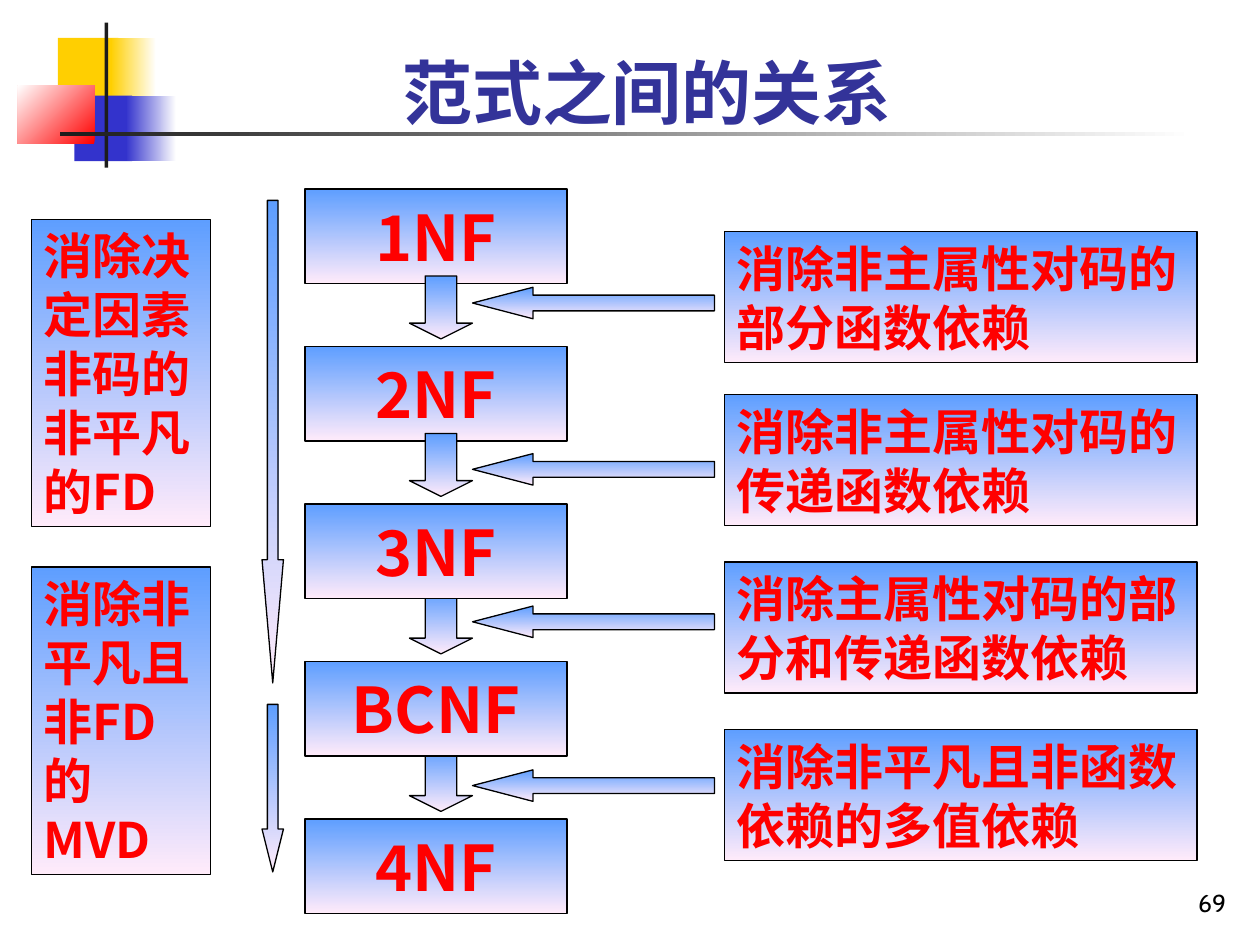
from lxml import etree
from pptx import Presentation
from pptx.dml.color import RGBColor
from pptx.enum import shapes, text
from pptx.oxml.ns import qn
from pptx.util import Inches, Pt

COLORS = {
    "gold": "FFCF01", "blue": "3333CC", "red": "FF0000", "ink": "1C1C1C",
    "white": "FFFFFF", "black": "000000", "title": "333399",
    "sky": "5E9EFF", "blush": "FFEBFA",
}
SHAPE = shapes.MSO_SHAPE
ALIGN = text.PP_ALIGN
LABEL_FONT = "Noto Sans CJK SC"
BASE_FONT = "Cabin"


def rgb(name):
    return RGBColor.from_string(COLORS[name])


class Slide:
    def __init__(self, page):
        self.page = page

    def gradient(self, shape, start, end, angle):
        """Two-colour gradient; angle runs counter-clockwise and stays fixed on the page."""
        shape.fill.gradient()
        shape.fill.gradient_angle = angle
        for stop, name, position in zip(shape.fill.gradient_stops, (start, end), (0, 1)):
            stop.color.rgb = rgb(name)
            stop.position = position
        shape._element.spPr.find(qn("a:gradFill")).set("rotWithShape", "0")

    def shape(self, kind, left, top, width, height):
        shape = self.page.shapes.add_shape(
            kind, Inches(left), Inches(top), Inches(width), Inches(height))
        shape.shadow.inherit = False
        return shape

    def ornament(self, place, color, fade=None, angle=180):
        shape = self.shape(SHAPE.RECTANGLE, *place)
        shape.line.fill.background()
        if fade:
            self.gradient(shape, color, fade, angle)
        else:
            shape.fill.solid()
            shape.fill.fore_color.rgb = rgb(color)

    def framed(self, kind, *place):
        shape = self.shape(kind, *place)
        self.gradient(shape, "sky", "blush", 270)
        shape.line.color.rgb = rgb("black")
        shape.line.width = Pt(0.75)
        return shape

    def set_words(self, frame, words, size, color, font, align, bold=True):
        frame.text = words
        para = frame.paragraphs[0]
        para.alignment = align
        para.font.size = Pt(size)
        para.font.bold = bold
        para.font.name = font
        para.font.color.rgb = rgb(color)
        east_asian = etree.SubElement(para._p.pPr.find(qn("a:defRPr")), qn("a:ea"))
        east_asian.set("typeface", LABEL_FONT)

    def title(self, words, left, top, width, height):
        box = self.page.shapes.title
        box.left, box.top = Inches(left), Inches(top)
        box.width, box.height = Inches(width), Inches(height)
        box.text_frame.vertical_anchor = text.MSO_ANCHOR.BOTTOM
        self.set_words(box.text_frame, words, 40, "title", BASE_FONT, ALIGN.CENTER)

    def number(self, words, left, top, width, height):
        box = self.page.shapes.add_textbox(
            Inches(left), Inches(top), Inches(width), Inches(height))
        box.text_frame.word_wrap = True
        box.text_frame.vertical_anchor = text.MSO_ANCHOR.BOTTOM
        self.set_words(box.text_frame, words, 14, "black", BASE_FONT, ALIGN.RIGHT, False)

    def form(self, words, top):
        box = self.framed(SHAPE.RECTANGLE, 2.42, top, 2.08, 0.75)
        box.text_frame.word_wrap = False
        self.set_words(box.text_frame, words, 36, "red", LABEL_FONT, ALIGN.CENTER)

    def note(self, words, left, top, width, height):
        box = self.framed(SHAPE.RECTANGLE, left, top, width, height)
        box.text_frame.word_wrap = True
        self.set_words(box.text_frame, words, 28, "red", LABEL_FONT, ALIGN.LEFT)
        box.text_frame.paragraphs[0].line_spacing = Pt(33.7)

    def arrow(self, kind, place, head, rotation=0):
        arrow = self.framed(kind, *place)
        arrow.adjustments[0] = 0.5
        arrow.adjustments[1] = head
        arrow.rotation = rotation


def main():
    deck = Presentation()
    deck.slide_width, deck.slide_height = Inches(10), Inches(7.5)
    slide = Slide(deck.slides.add_slide(deck.slide_layouts[5]))

    slide.ornament((0.46, 0.3, 0.48, 0.52), "gold")
    slide.ornament((0.88, 0.3, 0.36, 0.52), "white", "gold")
    slide.ornament((0.59, 0.76, 0.46, 0.52), "blue")
    slide.ornament((1, 0.76, 0.4, 0.52), "white", "blue")
    slide.ornament((0.14, 0.68, 0.61, 0.46), "red", "white", 135)
    slide.ornament((0.83, 0.18, 0.03, 1.15), "ink")
    slide.ornament((0.48, 1.05, 9, 0.03), "white", "ink")
    slide.number("69", 7.75, 6.83, 2.08, 0.5)
    slide.title("范式之间的关系", 0.58, 0.17, 9.11, 0.94)

    first, pitch = 1.5, 1.25
    down_arrows = [(SHAPE.DOWN_ARROW, (3.25, first + 0.69 + pitch * step, 0.5, 0.5), 0.25)
                   for step in range(4)]
    # The lower two arrows start behind their boxes, the upper two in front.
    for arrow in down_arrows[2:]:
        slide.arrow(*arrow)
    for row, words in enumerate(("1NF", "2NF", "3NF", "BCNF", "4NF")):
        slide.form(words, first + pitch * row)
    for arrow in down_arrows[:2]:
        slide.arrow(*arrow)

    for words, top, arrow_top in (
        ("消除非主属性对码的部分函数依赖", 1.84, 2.28),
        ("消除非主属性对码的传递函数依赖", 3.13, 3.6),
        ("消除主属性对码的部分和传递函数依赖", 4.46, 4.81),
        ("消除非平凡且非函数依赖的多值依赖", 5.79, 6.11),
    ):
        slide.note(words, 5.75, top, 3.75, 1.04)
        slide.arrow(SHAPE.LEFT_ARROW, (3.75, arrow_top, 1.92, 0.25), 1.92)

    for words, top, arrow_place, head in (
        ("消除决定因素非码的非平凡的FD", 1.74, (0.25, 3.42, 3.83, 0.17), 5.75),
        ("消除非平凡且非FD的MVD", 4.5, (1.5, 6.17, 1.33, 0.17), 2),
    ):
        slide.note(words, 0.25, top, 1.42, 2.44)
        slide.arrow(SHAPE.LEFT_ARROW, arrow_place, head, 270)

    deck.save("out.pptx")


if __name__ == "__main__":
    main()
